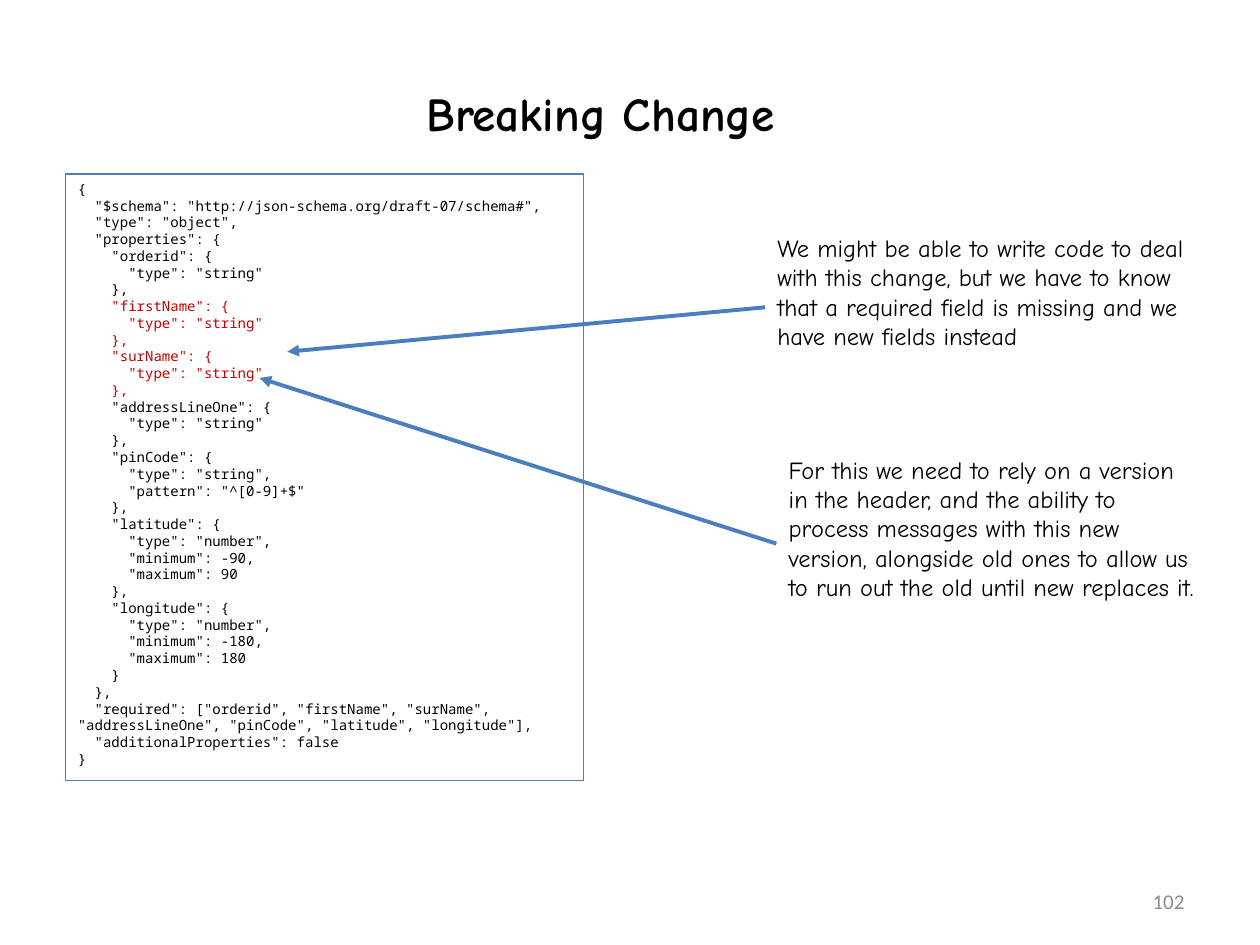
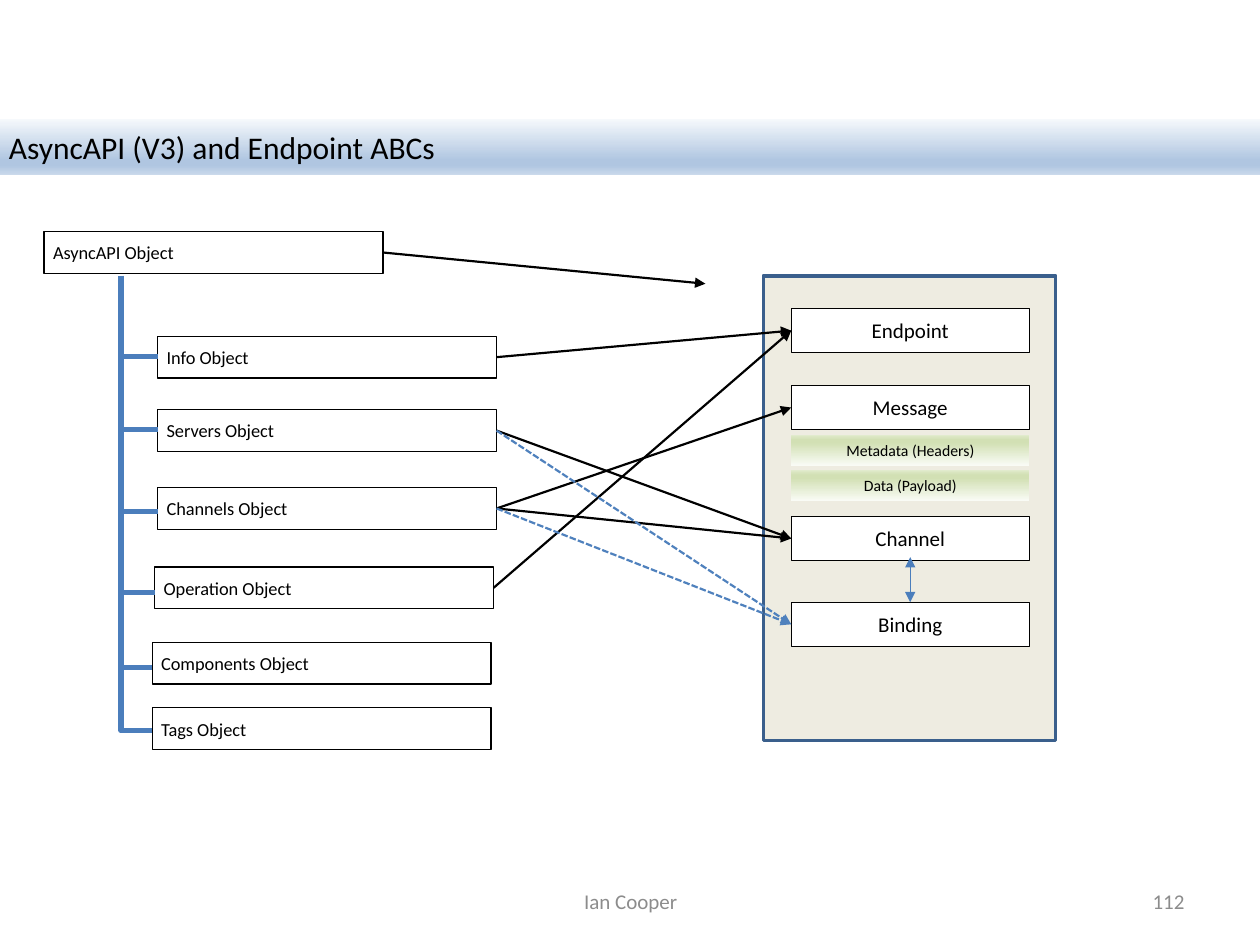
import copy
from dataclasses import dataclass
from typing import Any, NamedTuple, Optional

import lxml.etree
import pptx
import pptx.dml.color
import pptx.enum.dml
import pptx.enum.shapes
import pptx.enum.text
import pptx.oxml.ns
import pptx.util

Cm = pptx.util.Cm
qn = pptx.oxml.ns.qn
Align = pptx.enum.text.PP_ALIGN
Anchor = pptx.enum.text.MSO_ANCHOR
Link = pptx.enum.shapes.MSO_CONNECTOR


@dataclass(frozen=True)
class Theme:
    black: str = "000000"
    white: str = "FFFFFF"
    grey: str = "8C8C8C"
    red: str = "C00000"
    blue: str = "4B7EBC"
    dash: str = "4F81BD"
    navy: str = "3A5F8C"
    sand: str = "EEECE1"
    sky: tuple = ("F6F9FC", "B0C6E1", "B0C6E1", "CAD9EB")
    leaf: tuple = ("FAFCF7", "D2E0B4", "D2E0B4", "E1EBCD")
    stops: tuple = (0, 0.74, 0.83, 1)
    sans: str = "Calibri"
    comic: str = "Comic Neue"
    mono: str = "Noto Sans Mono"
    head: float = 27
    band: float = 18
    note: float = 14
    node: float = 12
    item: float = 10.5
    small: float = 9
    code: float = 8


THEME = Theme()


class Box(NamedTuple):
    """Edges in centimetres."""
    left: float
    top: float
    width: float
    height: float


class Note(NamedTuple):
    text: str
    box: Box
    tip: tuple[float, float]


class Item(NamedTuple):
    """A child object; its branch runs from start down to turn."""
    text: str
    left: float
    top: float
    start: float
    turn: float


class Node(NamedTuple):
    text: str
    top: float


CODE = '''{
  "$schema": "http://json-schema.org/draft-07/schema#",
  "type": "object",
  "properties": {
    "orderid": {
      "type": "string"
    },
    "firstName": {
      "type": "string"
    },
    "surName": {
      "type": "string"
    },
    "addressLineOne": {
      "type": "string"
    },
    "pinCode": {
      "type": "string",
      "pattern": "^[0-9]+$"
    },
    "latitude": {
      "type": "number",
      "minimum": -90,
      "maximum": 90
    },
    "longitude": {
      "type": "number",
      "minimum": -180,
      "maximum": 180
    }
  },
  "required": ["orderid", "firstName", "surName", "addressLineOne", "pinCode", "latitude", "longitude"],
  "additionalProperties": false
}'''.split("\n")
CHANGED = range(7, 13)

NOTES = (
    Note("We might be able to write code to deal with this change, but we have to know "
         "that a required field is missing and we have new fields instead",
         Box(15.42, 4.57, 8.71, 3.25), (5.79, 7.09)),
    Note("For this we need to rely on a version in the header, and the ability to process "
         "messages with this new version, alongside old ones to allow us to run out the old "
         "until new replaces it.",
         Box(15.65, 9.04, 8.71, 3.84), (5.23, 7.62)),
)
ITEMS = (
    Item("Info Object", 3.18, 6.78, 6.15, 7.19),
    Item("Servers Object", 3.18, 8.26, 6.25, 8.66),
    Item("Channels Object", 3.18, 9.83, 6.15, 10.31),
    Item("Operation Object", 3.12, 11.43, 10.8, 11.94),
    Item("Components Object", 3.07, 12.95, 5.56, 13.46),
    Item("Tags Object", 3.07, 14.27, 5.56, 14.73),
)
NODES = (Node("Endpoint", 6.22), Node("Message", 7.77),
         Node("Channel", 10.41), Node("Binding", 12.14))
FIELDS = (Node("Metadata (Headers)", 8.76), Node("Data (Payload)", 9.47))
SOLID = (("Info", "Endpoint"), ("Servers", "Channel"), ("Channels", "Channel"),
         ("Operation", "Endpoint"), ("Channels", "Message"))
DASHED = (("Servers", "Binding"), ("Channels", "Binding"))
TRUNK = 2.44
NODE_LEFT, NODE_WIDTH = 15.95, 4.8


def rgb(code: str) -> Any:
    return pptx.dml.color.RGBColor.from_string(code)


def put(target: Any, values: dict[str, Any]) -> None:
    for name, value in values.items():
        setattr(target, name, value)


def place(shape: Any, box: Box) -> None:
    put(shape, {side: Cm(size) for side, size in box._asdict().items()})


def write(shape: Any, lines: list[str], size: float, font: str = THEME.sans,
          color: str = THEME.black, align: Any = Align.LEFT, anchor: Any = Anchor.MIDDLE,
          inset: Optional[float] = None, bold: bool = False) -> None:
    frame = shape.text_frame
    put(frame, {"word_wrap": True, "vertical_anchor": anchor,
                "auto_size": pptx.enum.text.MSO_AUTO_SIZE.NONE})
    if inset is not None:
        put(frame, {f"margin_{side}": Cm(inset)
                    for side in ("left", "top", "right", "bottom")})
    for count, line in enumerate(lines):
        para = frame.add_paragraph() if count else frame.paragraphs[0]
        para.alignment = align
        run = para.add_run()
        run.text = line
        put(run.font, {"size": pptx.util.Pt(size), "name": font, "bold": bold})
        run.font.color.rgb = rgb(color)


def stroke(line: Any, color: str, width: float) -> None:
    line.color.rgb = rgb(color)
    line.width = pptx.util.Pt(width)


def blend(fill: Any, colors: tuple, angle: float) -> None:
    """Fill with a gradient that has the theme's four stops."""
    fill.gradient()
    fill.gradient_angle = angle
    first = fill.gradient_stops[0]._gs
    for _ in range(len(colors) - len(fill.gradient_stops)):
        first.addnext(copy.deepcopy(first))
    for stop, color, spot in zip(fill.gradient_stops, colors, THEME.stops):
        stop.color.rgb = rgb(color)
        stop.position = spot


def label(slide: Any, text: str, box: Box, size: float, **style: Any) -> Any:
    shape = slide.shapes.add_textbox(*map(Cm, box))
    write(shape, [text], size, **style)
    return shape


def block(slide: Any, box: Box, fill: Optional[str] = None,
          edge: Optional[str] = THEME.black, width: float = 0.75) -> Any:
    shape = slide.shapes.add_shape(pptx.enum.shapes.MSO_SHAPE.RECTANGLE, *map(Cm, box))
    shape.shadow.inherit = False
    if fill:
        shape.fill.solid()
        shape.fill.fore_color.rgb = rgb(fill)
    else:
        shape.fill.background()
    if edge:
        stroke(shape.line, edge, width)
    else:
        shape.line.fill.background()
    return shape


def wire(slide: Any, start: tuple, end: tuple, color: str, width: float,
         heads: tuple = ("tailEnd",), kind: Any = Link.STRAIGHT, dash: Any = None) -> Any:
    line = slide.shapes.add_connector(kind, *map(Cm, (*start, *end)))
    stroke(line.line, color, width)
    if dash:
        line.line.dash_style = dash
    props = line._element.spPr
    for head in heads:
        lxml.etree.SubElement(props.find(qn("a:ln")), qn(f"a:{head}"), type="triangle")
    lxml.etree.SubElement(props, qn("a:effectLst"))
    return line


def branch(slide: Any, item: Item) -> None:
    """Draw an elbow down the trunk and right to the item."""
    run, rise = item.turn - item.start, item.left - TRUNK
    mid, level = (TRUNK + item.left) / 2, (item.start + item.turn) / 2
    line = wire(slide, (mid + run / 2, level - rise / 2), (mid - run / 2, level + rise / 2),
                THEME.blue, 3, heads=(), kind=Link.ELBOW)
    props = line._element.spPr
    props.find(qn("a:xfrm")).set("rot", str(270 * 60000))
    props.find(qn("a:prstGeom")).set("prst", "bentConnector2")


def join(slide: Any, first: Any, last: Any, color: str, dash: Any = None) -> None:
    line = wire(slide, (0, 0), (1, 1), color, 1.25, dash=dash)
    line.begin_connect(first, 3)
    line.end_connect(last, 1)


def start(deck: Any, title: str, box: Box, page: str, **style: Any) -> Any:
    """Add a slide with its title and page number."""
    slide = deck.slides.add_slide(deck.slide_layouts[5])
    place(slide.shapes.title, box)
    write(slide.shapes.title, [title], **style)
    label(slide, page, Box(18.21, 17.65, 5.92, 1.02), THEME.node,
          color=THEME.grey, align=Align.RIGHT)
    return slide


def schema(deck: Any) -> None:
    slide = start(deck, "Breaking Change", Box(7.37, 1.55, 9.47, 1.42), "102",
                  size=THEME.head, font=THEME.comic, align=Align.CENTER, bold=True)
    panel = block(slide, Box(1.32, 3.51, 10.44, 12.22), edge=THEME.blue)
    write(panel, CODE, THEME.code, font=THEME.mono, anchor=Anchor.TOP)
    for row in CHANGED:
        panel.text_frame.paragraphs[row].runs[0].font.color.rgb = rgb(THEME.red)
    for note in NOTES:
        label(slide, note.text, note.box, THEME.note, font=THEME.comic, anchor=Anchor.TOP)
        middle = note.box.top + note.box.height / 2
        wire(slide, (note.box.left, middle), note.tip, THEME.blue, 2.25)


def mapping(deck: Any) -> None:
    inset = 0.18
    slide = start(deck, "AsyncAPI (V3) and Endpoint ABCs", Box(0, 2.39, 25.4, 1.14), "112",
                  size=THEME.band, inset=inset)
    blend(slide.shapes.title.fill, THEME.sky, 270)
    label(slide, "Ian Cooper", Box(8.69, 17.65, 8.05, 1.02), THEME.node,
          color=THEME.grey, align=Align.CENTER)

    root = block(slide, Box(0.89, 4.67, 6.83, 0.84))
    write(root, ["AsyncAPI Object"], THEME.item, inset=inset)
    wire(slide, (7.72, 5.09), (14.22, 5.72), THEME.black, 1.25)
    boxes = {}
    for item in ITEMS:
        shape = block(slide, Box(item.left, item.top, 6.83, 0.84))
        write(shape, [item.text], THEME.item, inset=inset)
        boxes[item.text.split()[0]] = shape
        branch(slide, item)

    block(slide, Box(15.39, 5.56, 5.89, 9.37), THEME.sand, THEME.navy, 2)
    for node in NODES:
        shape = block(slide, Box(NODE_LEFT, node.top, NODE_WIDTH, 0.89), THEME.white)
        write(shape, [node.text], THEME.node, align=Align.CENTER, inset=inset)
        boxes[node.text] = shape
    for field in FIELDS:
        shape = block(slide, Box(NODE_LEFT, field.top, NODE_WIDTH, 0.64), edge=None)
        blend(shape.fill, THEME.leaf, 90)
        write(shape, [field.text], THEME.small, align=Align.CENTER)

    middle = NODE_LEFT + NODE_WIDTH / 2
    wire(slide, (middle, 11.23), (middle, 12.14), THEME.blue, 0.75,
         heads=("headEnd", "tailEnd"))
    for first, last in SOLID:
        join(slide, boxes[first], boxes[last], THEME.black)
    for first, last in DASHED:
        join(slide, boxes[first], boxes[last], THEME.dash,
             pptx.enum.dml.MSO_LINE.SQUARE_DOT)


def main() -> None:
    deck = pptx.Presentation()
    put(deck, {"slide_width": Cm(25.4), "slide_height": Cm(19.05)})
    schema(deck)
    mapping(deck)
    deck.save("out.pptx")


if __name__ == "__main__":
    main()
